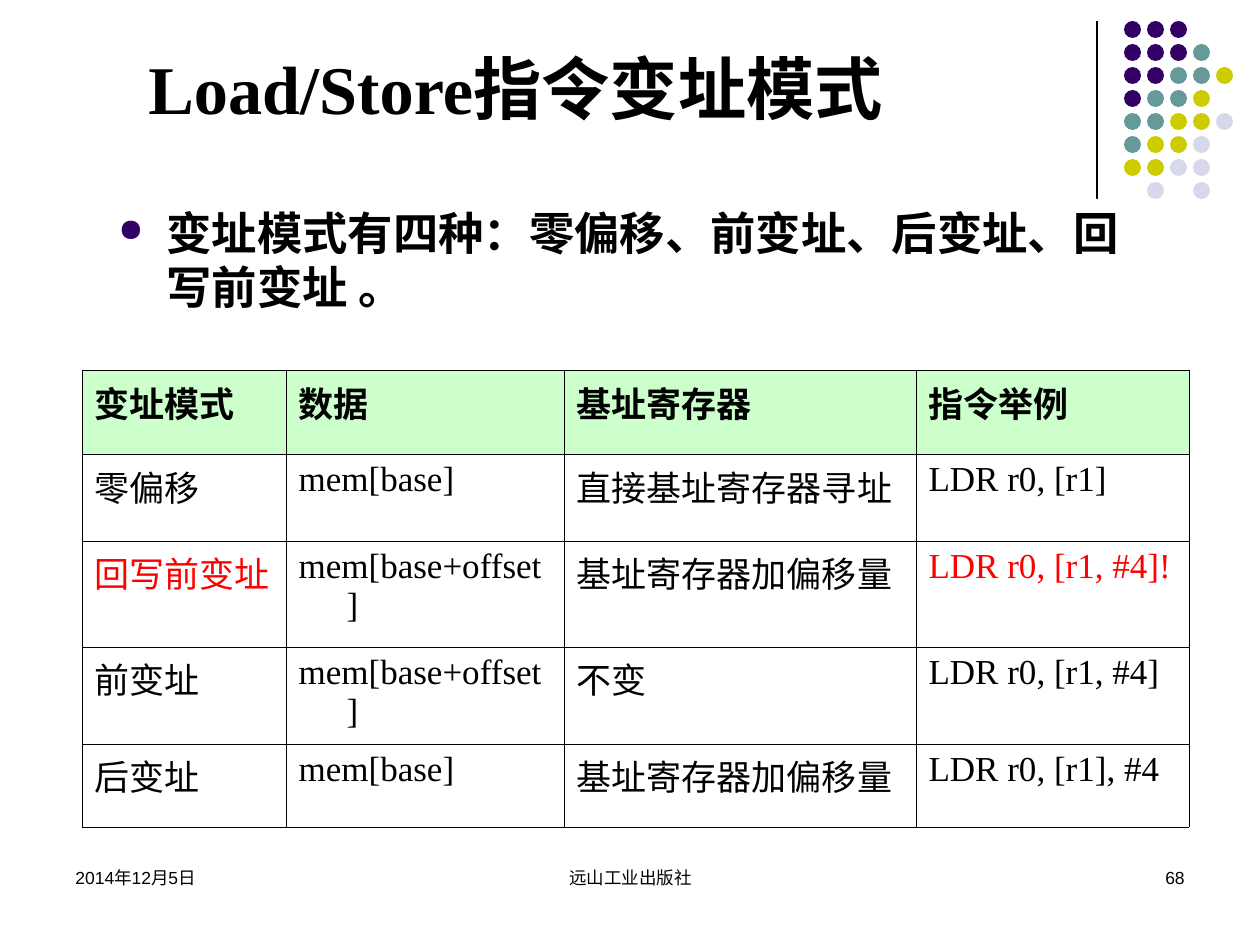
from lxml import etree
from pptx import Presentation
from pptx.dml.color import RGBColor
from pptx.enum.shapes import MSO_CONNECTOR, MSO_SHAPE
from pptx.enum.text import MSO_ANCHOR, PP_ALIGN
from pptx.oxml.ns import qn
from pptx.util import Pt

PX = 914400 / 126
STRAIGHT = MSO_CONNECTOR.STRAIGHT
ELLIPSE = MSO_SHAPE.OVAL
TOP, BOTTOM = MSO_ANCHOR.TOP, MSO_ANCHOR.BOTTOM
LEFT, CENTER, RIGHT = PP_ALIGN.LEFT, PP_ALIGN.CENTER, PP_ALIGN.RIGHT
BLACK, RED, GREEN, PURPLE = "000000", "FF0000", "CCFFCC", "330066"
SERIF, SANS = "Times New Roman", "Arial"


def px(*lengths):
    return [round(length * PX) for length in lengths]


def color(hex_code):
    return RGBColor.from_string(hex_code)


deck = Presentation()
deck.slide_width, deck.slide_height = px(1260, 945)
page = deck.slides.add_slide(deck.slide_layouts[6])

divider = page.shapes.add_connector(STRAIGHT, *px(1097, 21, 1097, 199))
divider.line.color.rgb = color(BLACK)
divider.line.width = Pt(0.75)
etree.SubElement(divider._element.spPr, qn("a:effectLst"))

dot_colors = {"P": PURPLE, "T": "669999", "Y": "CCCC00", "L": "D8D8EC"}
dot_rows = ["PPP", "PPPT", "PPTTY", "PTTY", "TTYYL", "TYYL", "YYLL", " L L"]
dots = page.shapes.add_group_shape()
for row, letters in enumerate(dot_rows):
    for column, letter in enumerate(letters):
        if letter in dot_colors:
            dot = dots.shapes.add_shape(
                ELLIPSE, *px(1124 + 23 * column, 21 + 23 * row, 17, 17))
            dot.shadow.inherit = False
            dot.fill.solid()
            dot.fill.fore_color.rgb = color(dot_colors[letter])
            dot.line.fill.background()

texts = [
    ("Load/Store指令变址模式", (136, 29, 965, 105), 39, SERIF, True, LEFT, BOTTOM),
    ("变址模式有四种：零偏移、前变址、后变址、回写前变址 。",
     (106, 199, 1053, 127), 25.9, SERIF, True, LEFT, TOP),
    ("远山工业出版社", (431, 861, 399, 63), 10, SANS, False, CENTER, TOP),
    ("68", (903, 861, 294, 63), 10, SANS, False, RIGHT, TOP),
    ("2014年12月5日", (63, 861, 294, 63), 10, SANS, False, LEFT, TOP),
]
boxes = []
for text, place, size, font, bold, align, anchor in texts:
    box = page.shapes.add_textbox(*px(*place))
    box.text_frame.word_wrap = True
    box.text_frame.vertical_anchor = anchor
    para = box.text_frame.paragraphs[0]
    para.text = text
    para.alignment = align
    para.font.size = Pt(size)
    para.font.name = font
    para.font.bold = bold
    para.font.color.rgb = color(BLACK)
    boxes.append(box)

summary = boxes[1]
summary.fill.solid()
summary.fill.fore_color.rgb = color("FFFFFF")
bullet_para = summary.text_frame.paragraphs[0]
bullet_para.space_before = Pt(7)
indent = px(48)[0]
bullet = bullet_para._p.get_or_add_pPr()
bullet.set("marL", str(indent))
bullet.set("indent", str(-indent))
bullet_color = etree.Element(qn("a:buClr"))
etree.SubElement(bullet_color, qn("a:srgbClr"), val=PURPLE)
bullet_size = etree.Element(qn("a:buSzPct"), val="70000")
bullet_char = etree.Element(qn("a:buChar"), char="●")
bullet.find(qn("a:spcBef")).addnext(bullet_color)
bullet_color.addnext(bullet_size)
bullet_size.addnext(bullet_char)

modes = [
    ["变址模式", "数据", "基址寄存器", "指令举例"],
    ["零偏移", "mem[base]", "直接基址寄存器寻址", "LDR r0, [r1]"],
    ["回写前变址", "mem[base+offset]", "基址寄存器加偏移量", "LDR r0, [r1, #4]!"],
    ["前变址", "mem[base+offset]", "不变", "LDR r0, [r1, #4]"],
    ["后变址", "mem[base]", "基址寄存器加偏移量", "LDR r0, [r1], #4"],
]
red_cells = {(2, 0), (2, 3)}
widths = [204, 278, 352, 273]
heights = [84, 87, 106, 97, 83]
table = page.shapes.add_table(
    len(modes), len(widths), *px(82, 370, sum(widths), sum(heights))).table
table.first_row = table.horz_banding = False
for column, width in zip(table.columns, px(*widths)):
    column.width = width
for row, height in zip(table.rows, px(*heights)):
    row.height = height

for row, values in enumerate(modes):
    for column, value in enumerate(values):
        cell = table.cell(row, column)
        para = cell.text_frame.paragraphs[0]
        para.text = value
        para.font.size = Pt(20)
        para.font.name = SERIF
        para.font.bold = row == 0
        para.font.color.rgb = color(RED if (row, column) in red_cells else BLACK)
        hanging = para._p.get_or_add_pPr()
        hanging.set("marL", str(indent))
        hanging.set("indent", str(-indent))
        cell.margin_left, cell.margin_right, cell.margin_top, cell.margin_bottom = (
            px(12.6, 12.6, 6.3, 6.3))
        cell_format = cell._tc.get_or_add_tcPr()
        for side in ("a:lnL", "a:lnR", "a:lnT", "a:lnB"):
            border = etree.SubElement(cell_format, qn(side), w=str(Pt(0.45)))
            paint = etree.SubElement(border, qn("a:solidFill"))
            etree.SubElement(paint, qn("a:srgbClr"), val=BLACK)
        if row == 0:
            cell.fill.solid()
            cell.fill.fore_color.rgb = color(GREEN)
        else:
            cell.fill.background()

deck.save("out.pptx")
